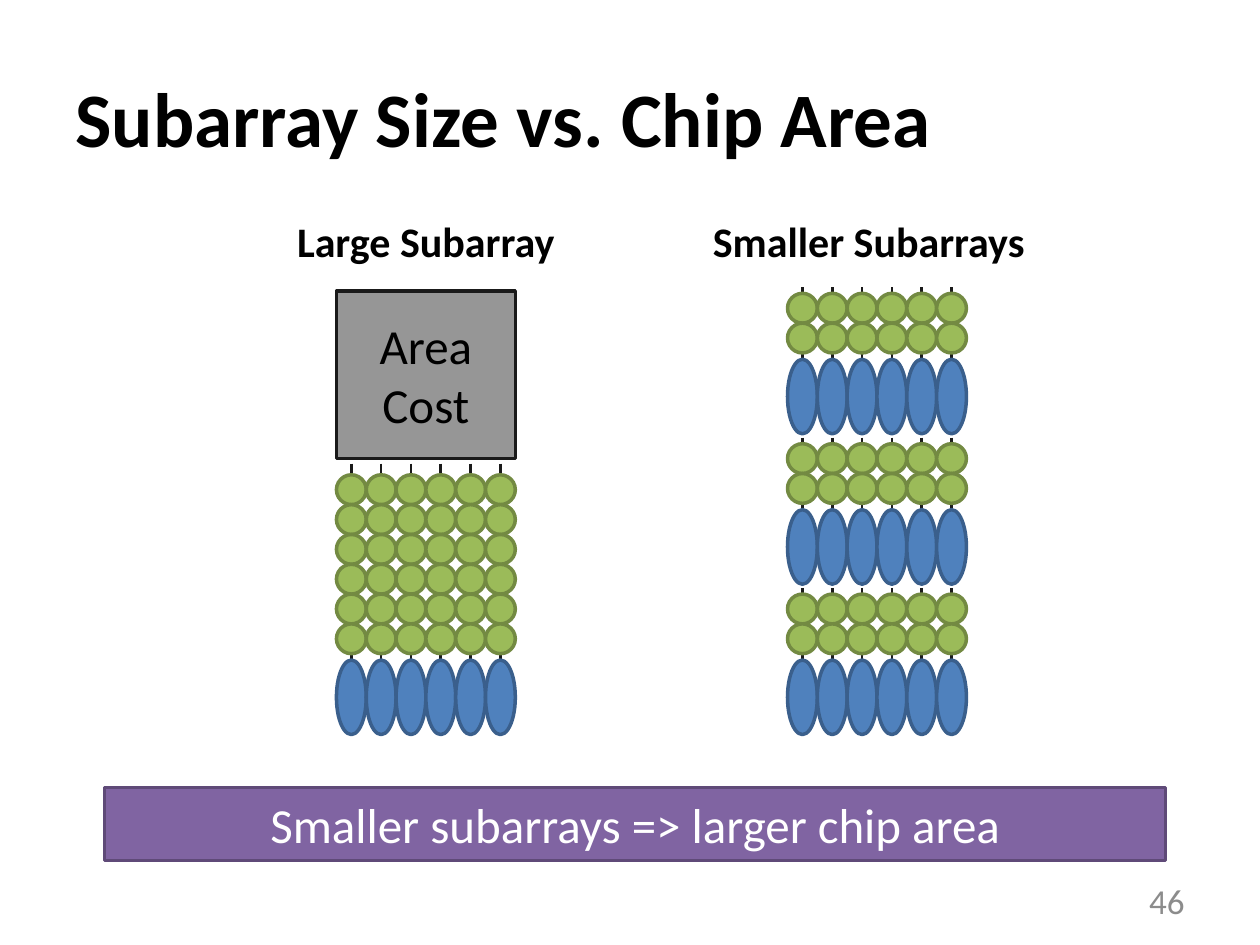
from lxml import etree
from pptx import Presentation
from pptx import util as u
from pptx.dml.color import RGBColor
from pptx.enum import shapes, text
from pptx.oxml.ns import qn

FONT = "Calibri"
INK = "1A1A1A"
CELL_COLOURS = ("9BBB59", "738A42")
AMPLIFIER_COLOURS = ("4F81BD", "3A5F8C")
COLUMNS = 6
AMPLIFIER_CELLS = 2.5  # amplifier height, in cells
GAP = 0.05             # between the cells and the amplifiers


def colour(value):
    return RGBColor.from_string(value)


def inches(*lengths):
    return [u.Inches(length) for length in lengths]


def write(shape, lines, size, ink, align, bold=False, anchor=text.MSO_ANCHOR.MIDDLE):
    frame = shape.text_frame
    frame.text = "\n".join(lines)
    frame.vertical_anchor = anchor
    for paragraph in frame.paragraphs:
        paragraph.alignment = align
        font = paragraph.font
        font.name, font.size, font.bold = FONT, u.Pt(size), bold
        font.color.rgb = colour(ink)


def add_filled(parent, kind, box, fill, line):
    shape = parent.add_shape(kind, *inches(*box))
    shape.shadow.inherit = False
    shape.fill.solid()
    shape.fill.fore_color.rgb = colour(fill)
    shape.line.color.rgb = colour(line)
    shape.line.width = u.Pt(2)
    return shape


def add_bitline(parent, x, top, bottom):
    bitline = parent.add_connector(shapes.MSO_CONNECTOR.STRAIGHT, *inches(x, top, x, bottom))
    bitline.line.color.rgb = colour(INK)
    bitline.line.width = u.Pt(1.5)
    etree.SubElement(bitline._element.spPr, qn("a:effectLst"))


def add_subarray(parent, box, rows):
    """Cells on bitlines, standing on a row of sense amplifiers."""
    left, top, width, height = box
    cell = width / COLUMNS
    amplifier_height = AMPLIFIER_CELLS * cell
    amplifier_top = top + height - amplifier_height
    cells_top = amplifier_top - GAP - rows * cell
    oval = shapes.MSO_SHAPE.OVAL
    for column in range(COLUMNS):
        x = left + column * cell
        add_bitline(parent, x + cell / 2, top, amplifier_top)
        for row in range(rows):
            add_filled(parent, oval, (x, cells_top + row * cell, cell, cell), *CELL_COLOURS)
    for column in range(COLUMNS):
        add_filled(parent, oval, (left + column * cell, amplifier_top, cell, amplifier_height),
                   *AMPLIFIER_COLOURS)


def add_stack(slide, box, count, rows):
    """Equal subarrays one above another, filling the box."""
    left, top, width, height = box
    group = slide.shapes.add_group_shape().shapes
    pitch = (height + 0.03) / count
    for index in reversed(range(count)):
        add_subarray(group, (left, top + index * pitch, width, pitch - 0.03), rows)


def add_text(slide, box, line, size, ink, align, wrap, **options):
    label = slide.shapes.add_textbox(*inches(*box))
    label.text_frame.word_wrap = wrap
    write(label, [line], size, ink, align, **options)


def add_panel(slide, box, lines, fill, line, ink):
    panel = add_filled(slide.shapes, shapes.MSO_SHAPE.RECTANGLE, box, fill, line)
    write(panel, lines, 28, ink, text.PP_ALIGN.CENTER)


def main():
    presentation = Presentation()
    presentation.slide_width, presentation.slide_height = inches(10, 7.5)
    slide = presentation.slides.add_slide(presentation.slide_layouts[5])
    left, right = text.PP_ALIGN.LEFT, text.PP_ALIGN.RIGHT

    # Title
    title = slide.shapes.title
    title.left, title.top, title.width, title.height = inches(0.5, 0.3, 9, 1.25)
    write(title, ["Subarray Size vs. Chip Area"], 44, "000000", left, bold=True)

    # Column headings
    for box, heading, align in (
        ((2.23, 1.66, 2.27, 0.5), "Large Subarray", right),
        ((5.56, 1.66, 2.7, 0.5), "Smaller Subarrays", left),
    ):
        add_text(slide, box, heading, 24, "000000", align, wrap=False, bold=True,
                 anchor=text.MSO_ANCHOR.TOP)

    # Slide number
    add_text(slide, (7.17, 6.95, 2.33, 0.4), "46", 20, "8C8C8C", right, wrap=True)

    # Subarrays
    add_stack(slide, (6.25, 2.28, 1.42, 3.55), count=3, rows=2)
    add_stack(slide, (2.67, 3.68, 1.42, 2.15), count=1, rows=6)

    # Area cost and conclusion
    add_panel(slide, (2.67, 2.31, 1.42, 1.33), ["Area", "Cost"], "969696", INK, "000000")
    add_panel(slide, (0.83, 6.25, 8.42, 0.58), ["Smaller subarrays => larger chip area"],
              "8064A2", "5F4A78", "FFFFFF")

    presentation.save("out.pptx")


if __name__ == "__main__":
    main()
